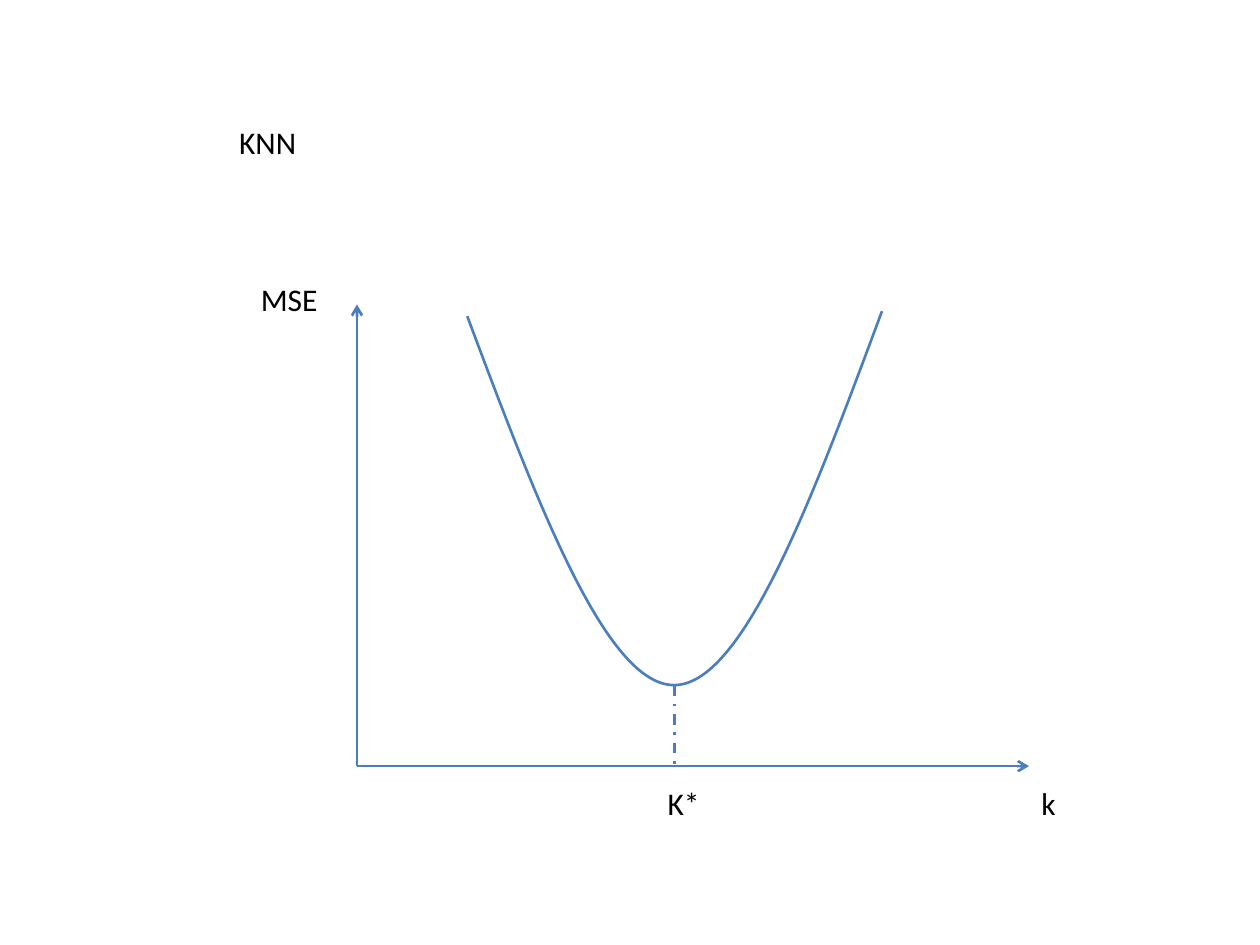
import pptx
import pptx.util
import pptx.dml.color
import pptx.enum.dml
import pptx.enum.shapes
import pptx.enum.text
import pptx.oxml.ns
from lxml import etree

Pt = pptx.util.Pt
RGB = pptx.dml.color.RGBColor.from_string
QN = pptx.oxml.ns.qn


class Theme:
    ink = "000000"
    blue = "4B7EBC"
    paper = "FFFFFF"
    font = "Calibri"
    size = 18
    line = 1.5


class Sketch:
    def __init__(self, slide, theme):
        self.theme = theme
        self.slide = slide
        self.group = None

    def stroke(self, shape, color, dash=None):
        shape.line.color.rgb = RGB(color)
        values = {"width": Pt(self.theme.line), "dash_style": dash}
        for name, value in values.items():
            setattr(shape.line, name, value)

    def letter(self, shape, text):
        frame = shape.text_frame
        values = {
            "word_wrap": False,
            "auto_size": pptx.enum.text.MSO_AUTO_SIZE.SHAPE_TO_FIT_TEXT,
            "vertical_anchor": pptx.enum.text.MSO_ANCHOR.TOP,
        }
        for name, value in values.items():
            setattr(frame, name, value)
        para = frame.paragraphs[0]
        para.alignment = pptx.enum.text.PP_ALIGN.LEFT
        run = para.add_run()
        run.text = text
        for name, value in {"name": self.theme.font, "size": Pt(self.theme.size)}.items():
            setattr(run.font, name, value)
        run.font.color.rgb = RGB(self.theme.ink)

    def title(self, text, *box):
        self.letter(self.slide.shapes.add_textbox(*map(Pt, box)), text)

    def label(self, text, *box):
        kind = pptx.enum.shapes.MSO_SHAPE.RECTANGLE
        shape = self.group.shapes.add_shape(kind, *map(Pt, box))
        shape.shadow.inherit = False
        shape.fill.background()
        self.stroke(shape, self.theme.paper)
        self.letter(shape, text)

    def link(self, start, end, arrow=False, dash=None):
        kind = pptx.enum.shapes.MSO_CONNECTOR.STRAIGHT
        line = self.group.shapes.add_connector(kind, *map(Pt, start + end))
        self.stroke(line, self.theme.blue, dash)
        props = line._element.spPr
        if arrow:
            etree.SubElement(props.find(QN("a:ln")), QN("a:tailEnd"), type="arrow")
        etree.SubElement(props, QN("a:effectLst"))

    def curve(self, start, *points):
        # Straight steps through the handles, then each three become one Bezier
        pen = self.group.shapes.build_freeform(Pt(start[0]), Pt(start[1]))
        pen.add_line_segments([(Pt(x), Pt(y)) for x, y in points], close=False)
        shape = pen.convert_to_shape()
        shape.shadow.inherit = False
        shape.fill.background()
        self.stroke(shape, self.theme.blue)
        steps = list(shape._element.iter(QN("a:lnTo")))
        for i in range(0, len(steps), 3):
            bend = etree.SubElement(steps[i].getparent(), QN("a:cubicBezTo"))
            for step in steps[i:i + 3]:
                bend.append(step[0])
                step.getparent().remove(step)


def main():
    deck = pptx.Presentation()
    deck.slide_width, deck.slide_height = Pt(720), Pt(540)
    sketch = Sketch(deck.slides.add_slide(deck.slide_layouts[6]), Theme())

    # Heading
    sketch.title("KNN", 129.6, 66.5, 47.5, 29)

    # Axes
    sketch.group = sketch.slide.shapes.add_group_shape()
    left, base, right = 204, 437.8, 588
    sketch.link((left, base), (right, base), arrow=True)
    sketch.link((left, base), (left, 174), arrow=True)

    # Error curve and its minimum
    low = (385.5, 391.5)
    sketch.curve((267, 180.7),
                 (306.7, 286.5), (346.3, 392), low,
                 (424.8, 391), (464.4, 284.4), (504, 177.8))
    sketch.link(low, (low[0], base),
                dash=pptx.enum.dml.MSO_LINE_DASH_STYLE.DASH_DOT)

    # Labels
    for text, x, y, width in (("MSE", 142, 156.3, 47.5),
                              ("K*", 374.4, 444.2, 33),
                              ("k", right, 444.2, 23)):
        sketch.label(text, x, y, width, 29)

    deck.save("out.pptx")


if __name__ == "__main__":
    main()
